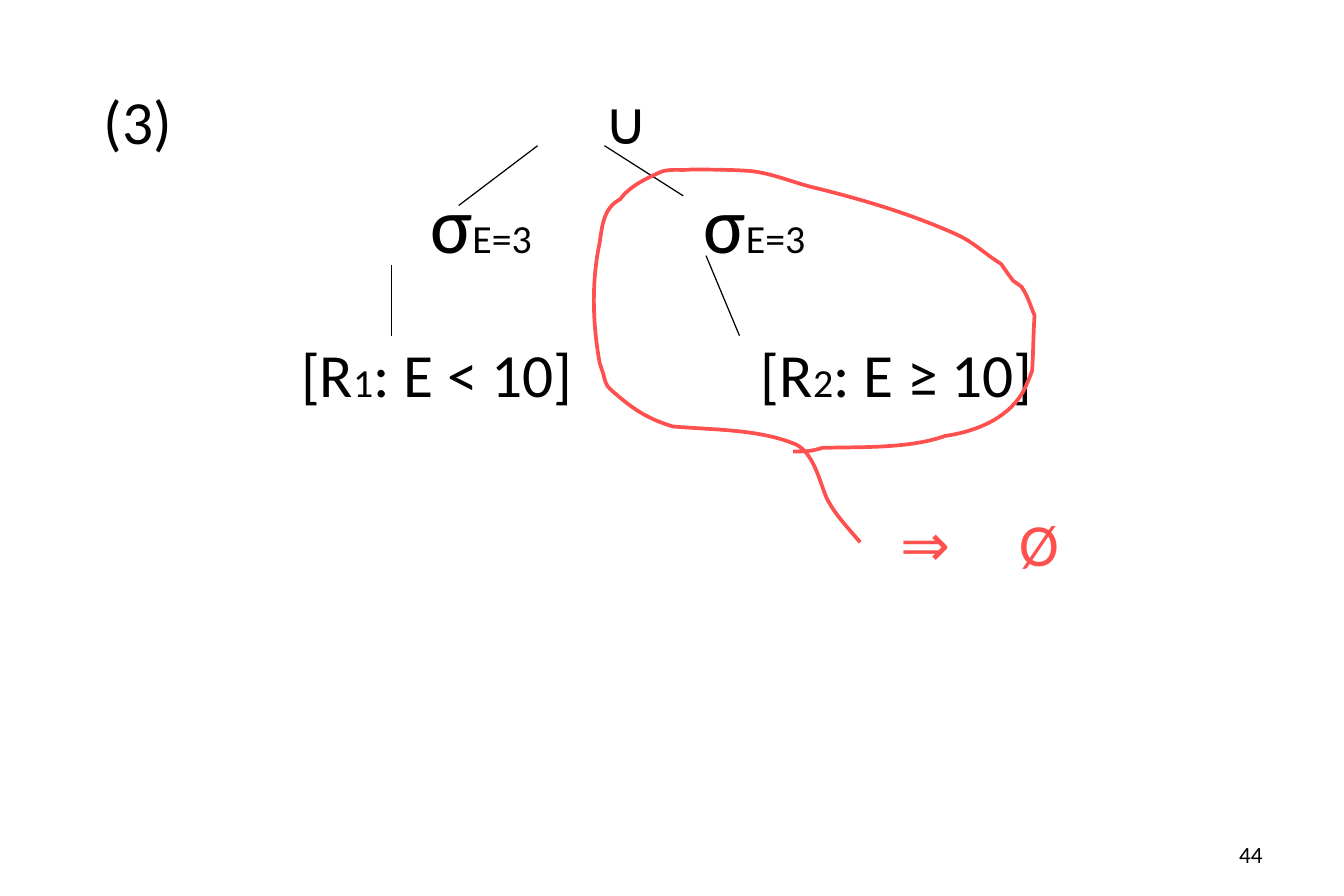
from dataclasses import dataclass, field

from lxml import etree
from pptx import Presentation
from pptx.dml.color import RGBColor
from pptx.enum.shapes import MSO_CONNECTOR
from pptx.enum.text import MSO_ANCHOR, PP_ALIGN
from pptx.oxml.ns import qn
from pptx.util import Emu, Pt

STRAIGHT = MSO_CONNECTOR.STRAIGHT
TOP, MIDDLE = MSO_ANCHOR.TOP, MSO_ANCHOR.MIDDLE
LEFT, RIGHT = PP_ALIGN.LEFT, PP_ALIGN.RIGHT

EMU_PER_PX = 9144  # 100 px to the inch
FONT = "Calibri"
BLACK, RED = "000000", "FF5050"
FORMULA, SUBSCRIPT, SYMBOL, SIGMA, NUMBER = 37, 24, 36, 48, 14


@dataclass(frozen=True)
class Line:
    """A paragraph of (text, size) runs; tab stops are px from the text edge."""
    runs: list[tuple[str, int]]
    tabs: list[int] = field(default_factory=list)
    space_before: int = 0


@dataclass(frozen=True)
class TextBox:
    left: int
    top: int
    width: int
    height: int
    lines: list[Line]
    color: str = BLACK
    anchor: MSO_ANCHOR = MIDDLE
    align: PP_ALIGN = LEFT
    inset: tuple[int, int] = (12, 6)


@dataclass(frozen=True)
class Edge:
    x1: int
    y1: int
    x2: int
    y2: int


BOXES = [
    TextBox(75, 64, 956, 450, [
        Line([("(3)", FORMULA), ("\t∪", SYMBOL)], [419]),
        Line([("\tσ", SIGMA), ("E=3", SUBSCRIPT),
              ("\tσ", SIGMA), ("E=3", SUBSCRIPT)], [273, 502], 10),
        Line([("\t[R", FORMULA), ("1", SUBSCRIPT), (": E < 10]", FORMULA),
              ("\t[R", FORMULA), ("2", SUBSCRIPT), (": E ≥ 10]", FORMULA)],
             [165, 550], 40),
    ], anchor=TOP),
    TextBox(742, 419, 157, 71, [Line([("⇒\tØ", SYMBOL)], [99])],
            color=RED, inset=(12, 5)),
    TextBox(807, 695, 262, 40, [Line([("44", NUMBER)])], align=RIGHT),
]

EDGES = [
    Edge(450, 122, 384, 172),
    Edge(506, 122, 572, 164),
    Edge(328, 222, 328, 281),
    Edge(591, 214, 619, 281),
]

# Hand-drawn loop: a start, then two control points and an end per curve.
LOOP_START = (720, 454)
LOOP_CURVES = [
    ((710, 442), (699, 431), (692, 417)),
    ((686, 403), (681, 379), (666, 372)),
    ((635, 359), (596, 360), (563, 357)),
    ((540, 350), (528, 341), (511, 326)),
    ((507, 323), (506, 317), (505, 313)),
    ((504, 310), (502, 304), (502, 304)),
    ((496, 271), (495, 236), (502, 203)),
    ((504, 190), (505, 174), (519, 167)),
    ((527, 156), (540, 150), (553, 144)),
    ((561, 141), (570, 143), (578, 142)),
    ((594, 142), (609, 142), (625, 143)),
    ((644, 144), (664, 153), (681, 157)),
    ((722, 167), (762, 179), (800, 196)),
    ((814, 202), (825, 213), (838, 221)),
    ((840, 224), (845, 231), (848, 235)),
    ((850, 237), (853, 238), (855, 240)),
    ((861, 249), (862, 255), (866, 264)),
    ((865, 279), (865, 294), (864, 310)),
    ((864, 311), (859, 323), (858, 325)),
    ((846, 349), (819, 361), (791, 365)),
    ((761, 376), (717, 374), (688, 375)),
    ((679, 378), (674, 378), (664, 378)),
]


def px(value: int) -> Emu:
    return Emu(value * EMU_PER_PX)


def rgb(value: str) -> RGBColor:
    return RGBColor.from_string(value)


def add_tab_stops(p, stops: list[int]) -> None:
    tab_list = etree.SubElement(p._p.get_or_add_pPr(), qn("a:tabLst"))
    for stop in stops:
        etree.SubElement(tab_list, qn("a:tab"), pos=str(px(stop)), algn="l")


def add_text(s, box: TextBox) -> None:
    sp = s.shapes.add_textbox(px(box.left), px(box.top), px(box.width), px(box.height))
    tf = sp.text_frame
    tf.word_wrap = True
    tf.vertical_anchor = box.anchor
    tf.margin_left = tf.margin_right = px(box.inset[0])
    tf.margin_top = tf.margin_bottom = px(box.inset[1])
    for i, line in enumerate(box.lines):
        p = tf.add_paragraph() if i else tf.paragraphs[0]
        p.alignment = box.align
        p.space_before = Pt(line.space_before)
        if line.tabs:
            add_tab_stops(p, line.tabs)
        for text, size in line.runs:
            r = p.add_run()
            r.text = text
            r.font.name = FONT
            r.font.size = Pt(size)
            r.font.color.rgb = rgb(box.color)


def add_edge(s, edge: Edge) -> None:
    sp = s.shapes.add_connector(STRAIGHT, px(edge.x1), px(edge.y1), px(edge.x2), px(edge.y2))
    sp.line.color.rgb = rgb(BLACK)
    sp.line.width = Pt(0.75)
    etree.SubElement(sp._element.spPr, qn("a:effectLst"))


def curve_segments(sp) -> None:
    """Turn each three straight segments of a freeform into one Bezier curve."""
    segments = list(sp._element.iter(qn("a:lnTo")))
    for i in range(0, len(segments), 3):
        first, *others = segments[i:i + 3]
        first.tag = qn("a:cubicBezTo")
        for segment in others:
            first.append(segment[0])
            segment.getparent().remove(segment)


def add_loop(s) -> None:
    points = [(px(x), px(y)) for curve in LOOP_CURVES for x, y in curve]
    builder = s.shapes.build_freeform(px(LOOP_START[0]), px(LOOP_START[1]))
    builder.add_line_segments(points, close=False)
    sp = builder.convert_to_shape()
    sp.shadow.inherit = False
    sp.fill.background()
    sp.line.color.rgb = rgb(RED)
    sp.line.width = Pt(2.25)
    curve_segments(sp)


def main() -> None:
    prs = Presentation()
    prs.slide_width, prs.slide_height = px(1125), px(750)
    s = prs.slides.add_slide(prs.slide_layouts[6])
    tree, conclusion, number = BOXES
    add_text(s, tree)
    for edge in EDGES:
        add_edge(s, edge)
    add_text(s, conclusion)
    add_loop(s)
    add_text(s, number)
    prs.save("out.pptx")


if __name__ == "__main__":
    main()
